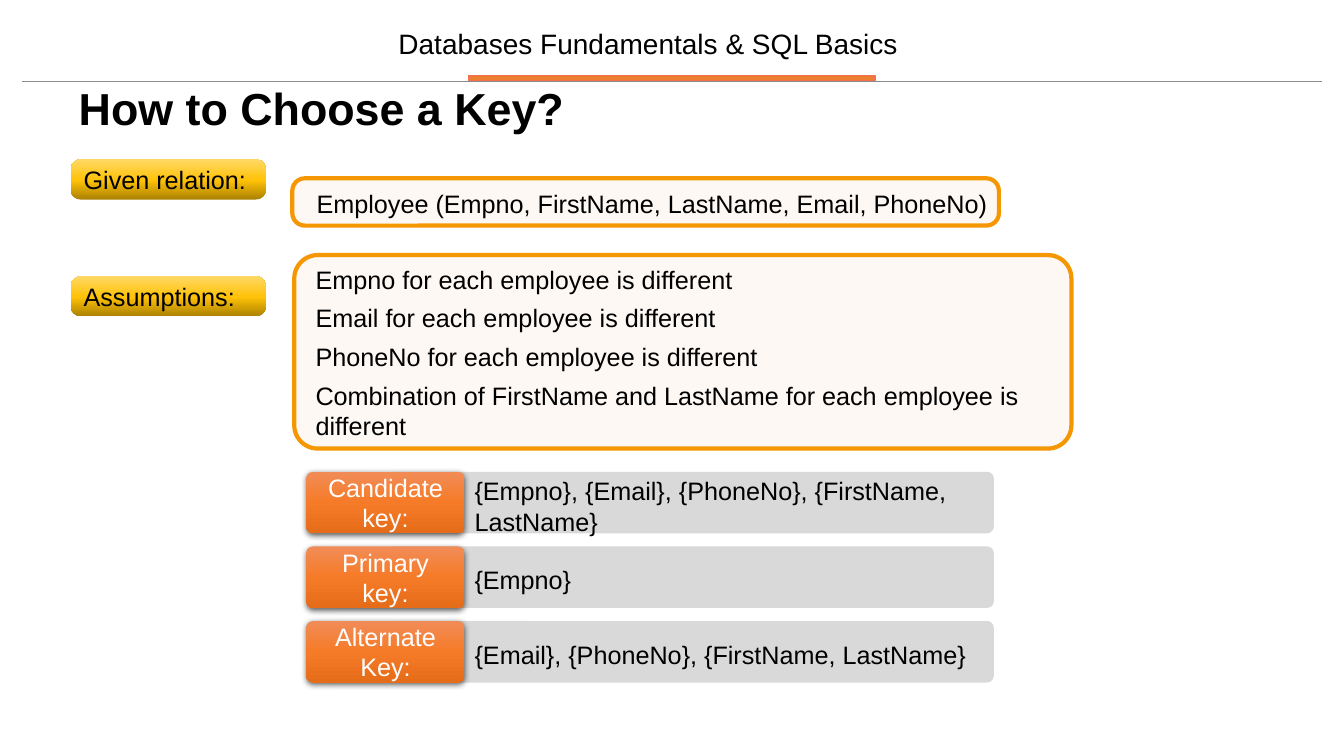
from lxml.etree import SubElement
from pptx import Presentation
from pptx.dml.color import RGBColor
from pptx.enum.shapes import MSO_CONNECTOR, MSO_SHAPE
from pptx.enum.text import MSO_ANCHOR, MSO_AUTO_SIZE, PP_ALIGN
from pptx.oxml.ns import qn
from pptx.util import Pt

BLACK, WHITE = "000000", "FFFFFF"
GOLD = [(0, "AB8100"), (48, "FFC208"), (100, "FFD966")]
ORANGE = [(0, "F18C57"), (50, "F67B28"), (100, "E56C19")]


def rgb(color):
    return RGBColor.from_string(color)


class SlideBuilder:
    font_name = "Arial"
    font_size = 18

    def __init__(self, slide):
        self.slide = slide

    def set_text(self, shape, paragraphs, color=BLACK, size=None, bold=False, align=PP_ALIGN.LEFT,
                 anchor=MSO_ANCHOR.TOP, left_inset=7.2, line_spacing=1.0):
        frame = shape.text_frame
        frame.word_wrap = True
        frame.auto_size = MSO_AUTO_SIZE.NONE
        frame.vertical_anchor = anchor
        frame.margin_left = Pt(left_inset)
        frame.text = "\n".join(paragraphs)
        for index, paragraph in enumerate(frame.paragraphs):
            if shape.is_placeholder:
                properties = paragraph._p.get_or_add_pPr()
                properties.set("marL", "0")
                properties.set("indent", "0")
                SubElement(properties, qn("a:buNone"))
            paragraph.alignment = align
            paragraph.line_spacing = line_spacing
            paragraph.space_before = Pt(6 if index else 0)
            paragraph.font.name = self.font_name
            paragraph.font.size = Pt(size or self.font_size)
            paragraph.font.bold = bold
            paragraph.font.color.rgb = rgb(color)

    def placeholder(self, index, box, paragraphs, **style):
        """Move a placeholder to the front, place it and fill it."""
        shape = self.slide.placeholders[index]
        shape._element.getparent().append(shape._element)
        shape.left, shape.top, shape.width, shape.height = map(Pt, box)
        self.set_text(shape, paragraphs, **style)

    def text(self, box, content, **style):
        self.set_text(self.slide.shapes.add_textbox(*map(Pt, box)), [content], **style)

    def shape(self, box, fill=None, line=None, line_width=1, corner=None):
        kind = MSO_SHAPE.RECTANGLE if corner is None else MSO_SHAPE.ROUNDED_RECTANGLE
        shape = self.slide.shapes.add_shape(kind, *map(Pt, box))
        shape.shadow.inherit = False
        if corner is not None:
            shape.adjustments[0] = corner
        if fill:
            shape.fill.solid()
            shape.fill.fore_color.rgb = rgb(fill)
        if line:
            shape.line.color.rgb = rgb(line)
            shape.line.width = Pt(line_width)
        else:
            shape.line.fill.background()
        return shape

    def gradient_label(self, box, content, stops, angle, corner, shadow=False, **style):
        shape = self.shape(box, corner=corner)
        shape.fill.gradient()
        shape.fill.gradient_angle = angle
        stop_list = shape._element.spPr.find(qn("a:gradFill")).find(qn("a:gsLst"))
        for stop in list(stop_list):
            stop_list.remove(stop)
        for position, color in stops:
            stop = SubElement(stop_list, qn("a:gs"), pos=str(position * 1000))
            SubElement(stop, qn("a:srgbClr"), val=color)
        if shadow:
            effects = shape._element.spPr.find(qn("a:effectLst"))
            outer = SubElement(effects, qn("a:outerShdw"), blurRad=str(Pt(4.5)), dist=str(Pt(1.5)),
                               dir="5400000", algn="ctr", rotWithShape="0")
            shade = SubElement(outer, qn("a:srgbClr"), val=BLACK)
            SubElement(shade, qn("a:alpha"), val="63000")
        self.set_text(shape, [content], anchor=MSO_ANCHOR.MIDDLE, **style)

    def panel(self, box, corner):
        self.shape(box, "FDF8F4", "F59603", 3, corner)

    def line(self, left, right, y, color, width):
        connector = self.slide.shapes.add_connector(
            MSO_CONNECTOR.STRAIGHT, Pt(left), Pt(y), Pt(right), Pt(y))
        connector.line.color.rgb = rgb(color)
        connector.line.width = Pt(width)
        SubElement(connector._element.spPr, qn("a:effectLst"))


def main():
    presentation = Presentation()
    presentation.slide_width, presentation.slide_height = Pt(960), Pt(540)
    builder = SlideBuilder(presentation.slides.add_slide(presentation.slide_layouts[1]))

    builder.line(15.8, 944, 58.3, "8C8C8C", 0.75)
    builder.shape((334.8, 54, 290.2, 3.6), "ED7D31", "F46F4F")
    builder.text((270, 18.7, 386, 27.4), "Databases Fundamentals & SQL Basics", size=20,
                 align=PP_ALIGN.CENTER, anchor=MSO_ANCHOR.MIDDLE, line_spacing=0.9)
    builder.placeholder(0, (49, 58.3, 886.3, 56.2), ["How to Choose a Key?"],
                        size=32, bold=True, line_spacing=0.9)

    for top, label in ((113.8, "Given relation:"), (197.3, "Assumptions:")):
        builder.gradient_label((50.4, top, 139.7, 28.8), label, GOLD, 90, 0.267)

    builder.panel((208.8, 127.4, 504.7, 33.8), 0.263)
    builder.text((190.8, 131, 555.1, 28.8),
                 "Employee (Empno, FirstName, LastName, Email, PhoneNo)", left_inset=35.3)

    builder.panel((210.2, 182.2, 555.1, 138.2), 0.121)
    assumptions = [f"{subject} for each employee is different" for subject in (
        "Empno", "Email", "PhoneNo", "Combination of FirstName and LastName")]
    builder.placeholder(1, (190.1, 185, 575.3, 134.6), assumptions, left_inset=35.3)

    keys = (
        ("Candidate key:", "{Empno}, {Email}, {PhoneNo}, {FirstName, LastName}", -0.7, 355.7),
        ("Primary key:", "{Empno}", 9.4, 355.7),
        ("Alternate Key:", "{Email}, {PhoneNo}, {FirstName, LastName}", 9.4, 414),
    )
    for row, (label, value, text_offset, text_width) in enumerate(keys):
        top = 337 + row * 53.3
        builder.shape((277.2, top, 432.7, 43.9), "D9D9D9", corner=0.107)
        builder.gradient_label((218.9, top, 113, 43.9), label, ORANGE, 270, 0.107, shadow=True,
                               color=WHITE, align=PP_ALIGN.CENTER)
        builder.text((331.9, top + text_offset, text_width, 28.8), value)

    presentation.save("out.pptx")


if __name__ == "__main__":
    main()
